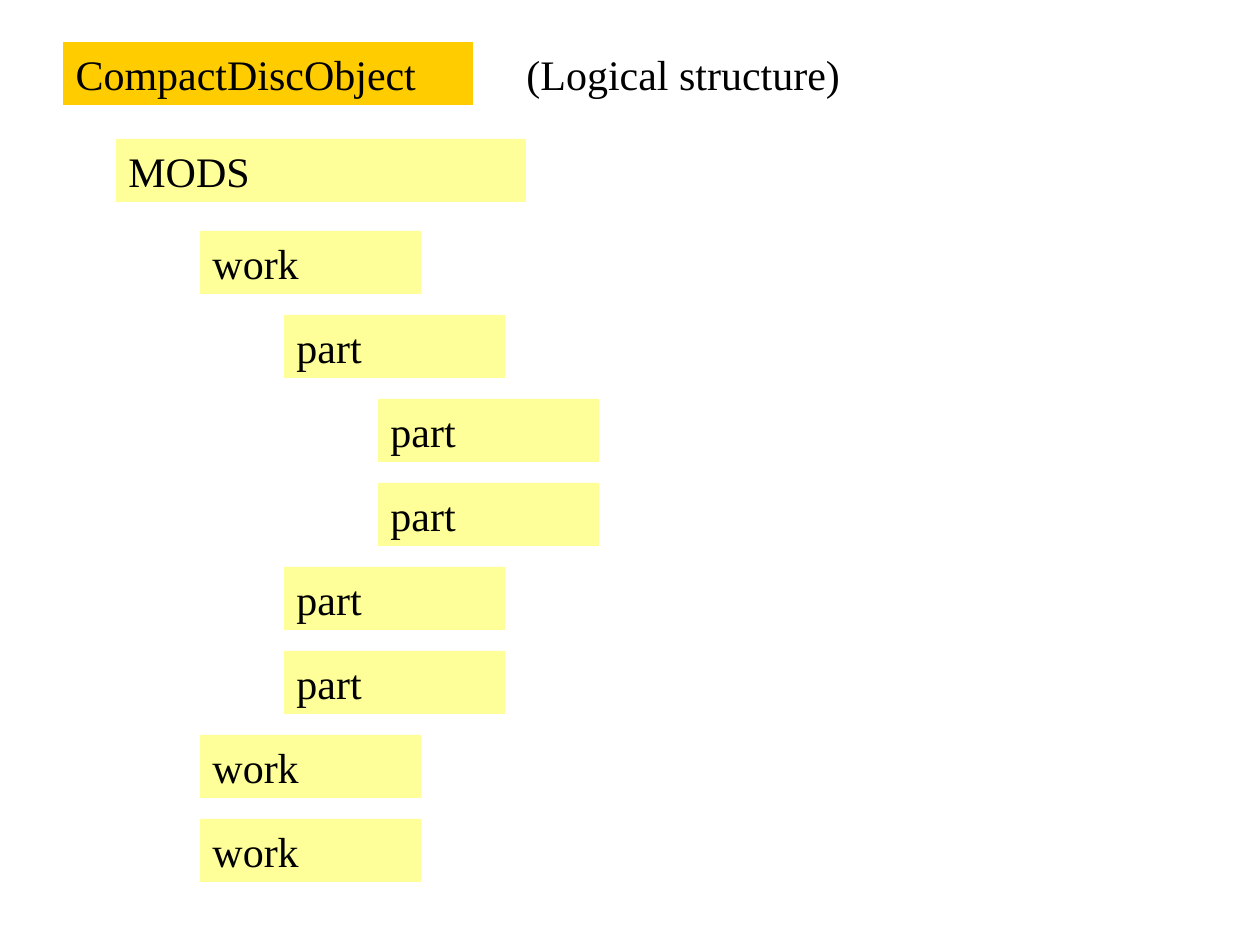
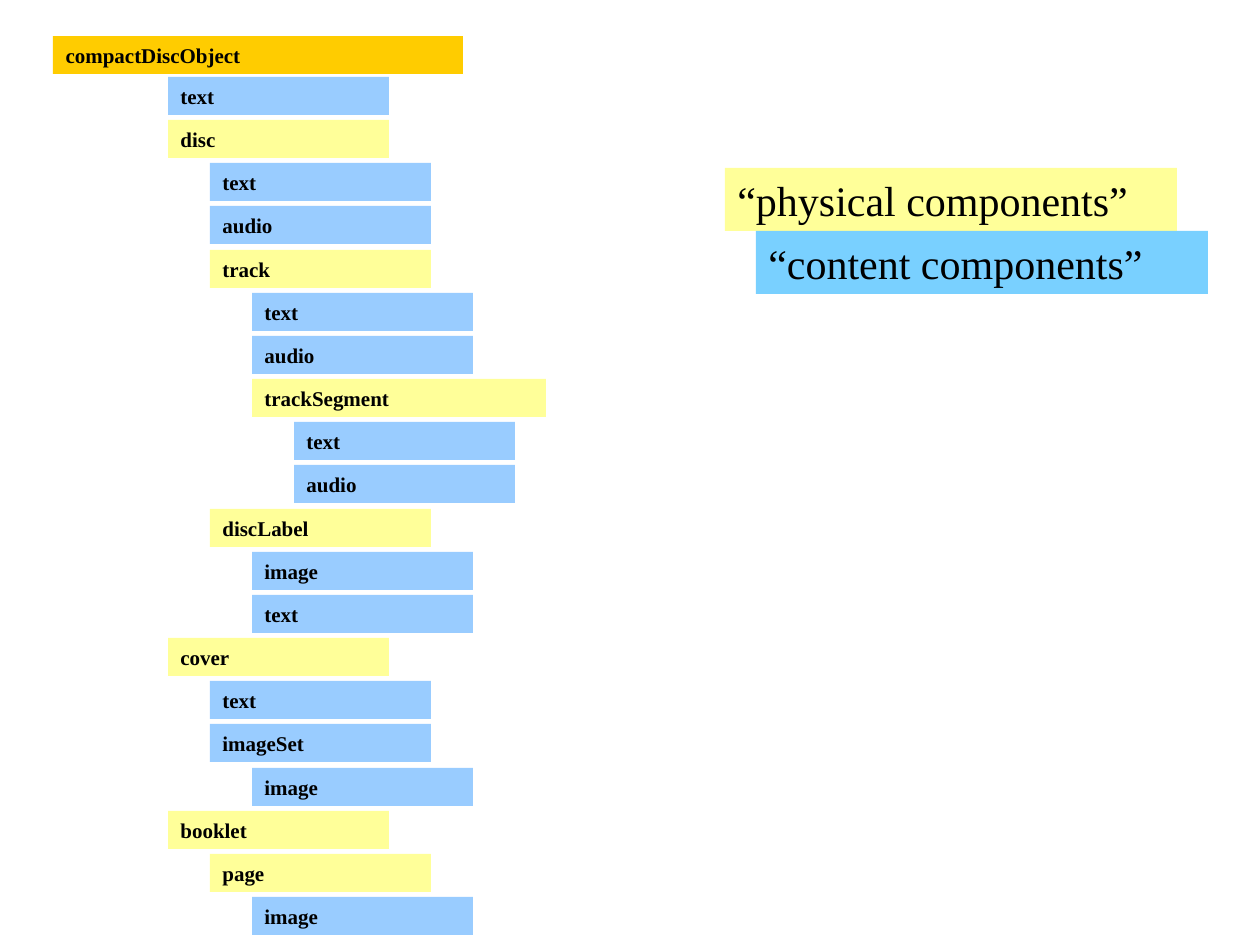
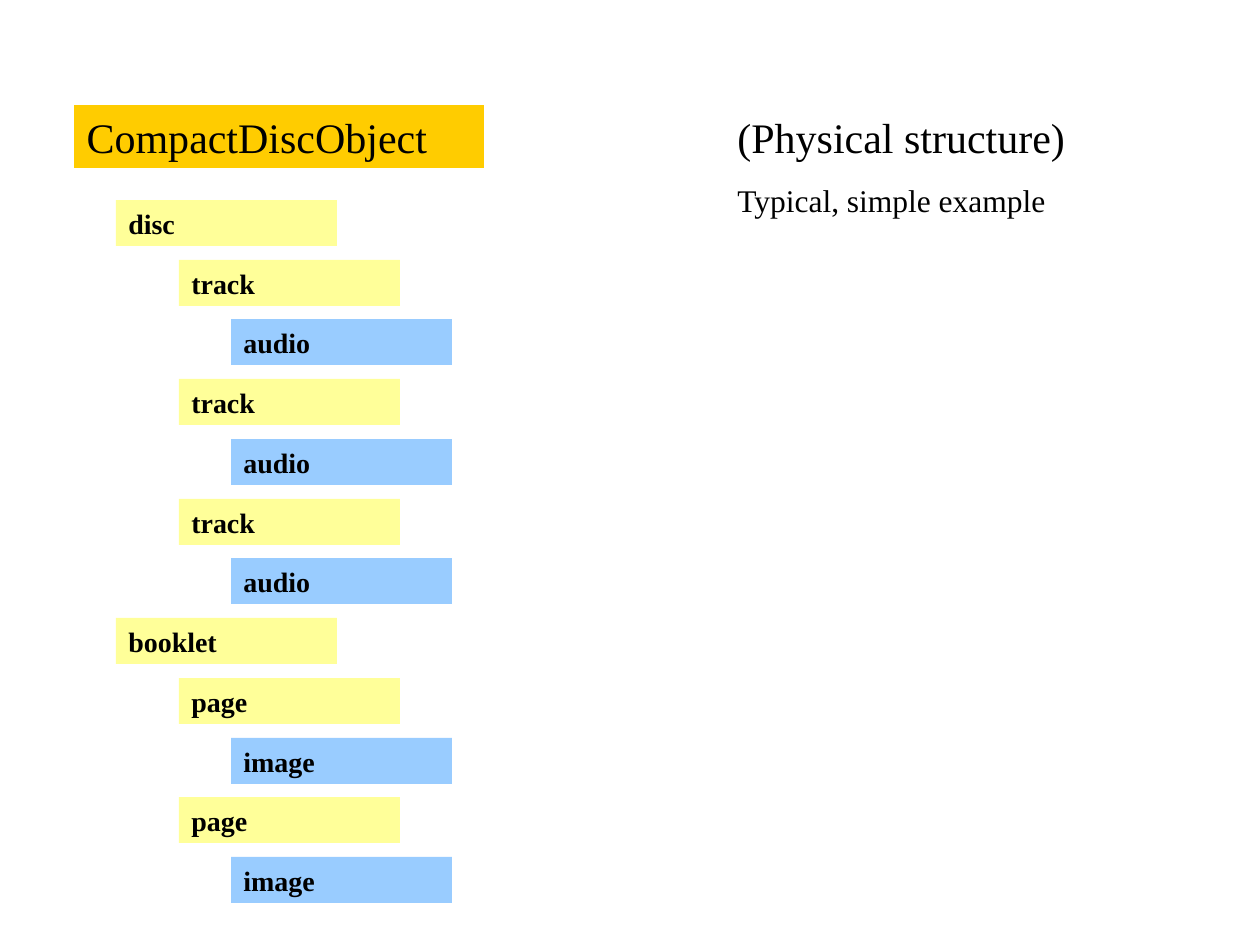
import pptx
import pptx.dml.color
import pptx.enum.shapes
import pptx.enum.text
import pptx.util

PX = pptx.util.Inches(1) / 126
FONT = "Times New Roman"
COLORS = {
    "root": "FFCC00",
    "physical": "FFFF99",
    "content": "99CCFF",
    "content_key": "79D0FF",
    "ink": "000000",
}
CONTENT = {"text", "audio", "image", "imageSet"}
BAR_WIDTH = 221
ROOT_WIDTH = 410


def write(box, text, size=24, bold=False, before=0, first=True):
    frame = box.text_frame
    frame.word_wrap = True
    frame.auto_size = pptx.enum.text.MSO_AUTO_SIZE.NONE
    frame.vertical_anchor = pptx.enum.text.MSO_ANCHOR.TOP
    para = frame.paragraphs[0] if first else frame.add_paragraph()
    para.alignment = pptx.enum.text.PP_ALIGN.LEFT
    para.space_before = pptx.util.Pt(before)
    span = para.add_run()
    span.text = text
    span.font.name = FONT
    span.font.size = pptx.util.Pt(size)
    span.font.bold = bold
    span.font.color.rgb = pptx.dml.color.RGBColor.from_string(COLORS["ink"])


def place(page, text, left, top, width, height, fill=None, size=24, bold=False):
    frame = [round(value * PX) for value in (left, top, width, height)]
    if fill == "root":
        box = page.shapes.title
        box.left, box.top, box.width, box.height = frame
    elif fill:
        box = page.shapes.add_shape(pptx.enum.shapes.MSO_SHAPE.RECTANGLE, *frame)
        box.shadow.inherit = False
        box.line.fill.background()
    else:
        box = page.shapes.add_textbox(*frame)
    if fill:
        box.fill.solid()
        box.fill.fore_color.rgb = pptx.dml.color.RGBColor.from_string(COLORS[fill])
    write(box, text, size=size, bold=bold)
    return box


deck = pptx.Presentation()
deck.slide_width = round(1260 * PX)
deck.slide_height = round(945 * PX)
title_only = deck.slide_layouts[5]

logical = deck.slides.add_slide(title_only)
place(logical, "CompactDiscObject", 63, 42, ROOT_WIDTH, 63, fill="root")
place(logical, "(Logical structure)", 514, 42, ROOT_WIDTH, 63)
place(logical, "MODS", 116, 139, ROOT_WIDTH, 63, fill="physical")
logical_lefts = [200, 284, 378]
logical_tree = [
    (0, "work"), (1, "part"), (2, "part"), (2, "part"),
    (1, "part"), (1, "part"), (0, "work"), (0, "work"),
]
for row, (depth, label) in enumerate(logical_tree):
    place(logical, label, logical_lefts[depth], 231 + 84 * row, BAR_WIDTH, 63, fill="physical")

components = deck.slides.add_slide(title_only)
place(components, "compactDiscObject", 53, 36, ROOT_WIDTH, 38, fill="root", size=12, bold=True)
component_tree = [
    (0, "text"), (0, "disc"), (1, "text"), (1, "audio"), (1, "track"),
    (2, "text"), (2, "audio"), (2, "trackSegment"), (3, "text"), (3, "audio"),
    (1, "discLabel"), (2, "image"), (2, "text"), (0, "cover"), (1, "text"),
    (1, "imageSet"), (2, "image"), (0, "booklet"), (1, "page"), (2, "image"),
]
for row, (depth, label) in enumerate(component_tree):
    width = 294 if label == "trackSegment" else BAR_WIDTH
    fill = "content" if label in CONTENT else "physical"
    place(components, label, 168 + 42 * depth, round(77 + 43.16 * row), width, 38,
          fill=fill, size=12, bold=True)
place(components, "“physical components”", 725, 168, 452, 63, fill="physical")
place(components, "“content components”", 756, 231, 452, 63, fill="content_key")

physical = deck.slides.add_slide(title_only)
place(physical, "CompactDiscObject", 74, 105, ROOT_WIDTH, 63, fill="root")
physical_lefts = [116, 179, 231]
physical_tree = [(0, "disc")] + [(1, "track"), (2, "audio")] * 3
physical_tree += [(0, "booklet")] + [(1, "page"), (2, "image")] * 2
for row, (depth, label) in enumerate(physical_tree):
    fill = "content" if label in CONTENT else "physical"
    place(physical, label, physical_lefts[depth], round(200 + 59.73 * row), BAR_WIDTH, 46,
          fill=fill, size=16, bold=True)
caption = place(physical, "(Physical structure)", 725, 105, ROOT_WIDTH, 121)
write(caption, "Typical, simple example", size=18, before=11.2, first=False)

deck.save("out.pptx")
